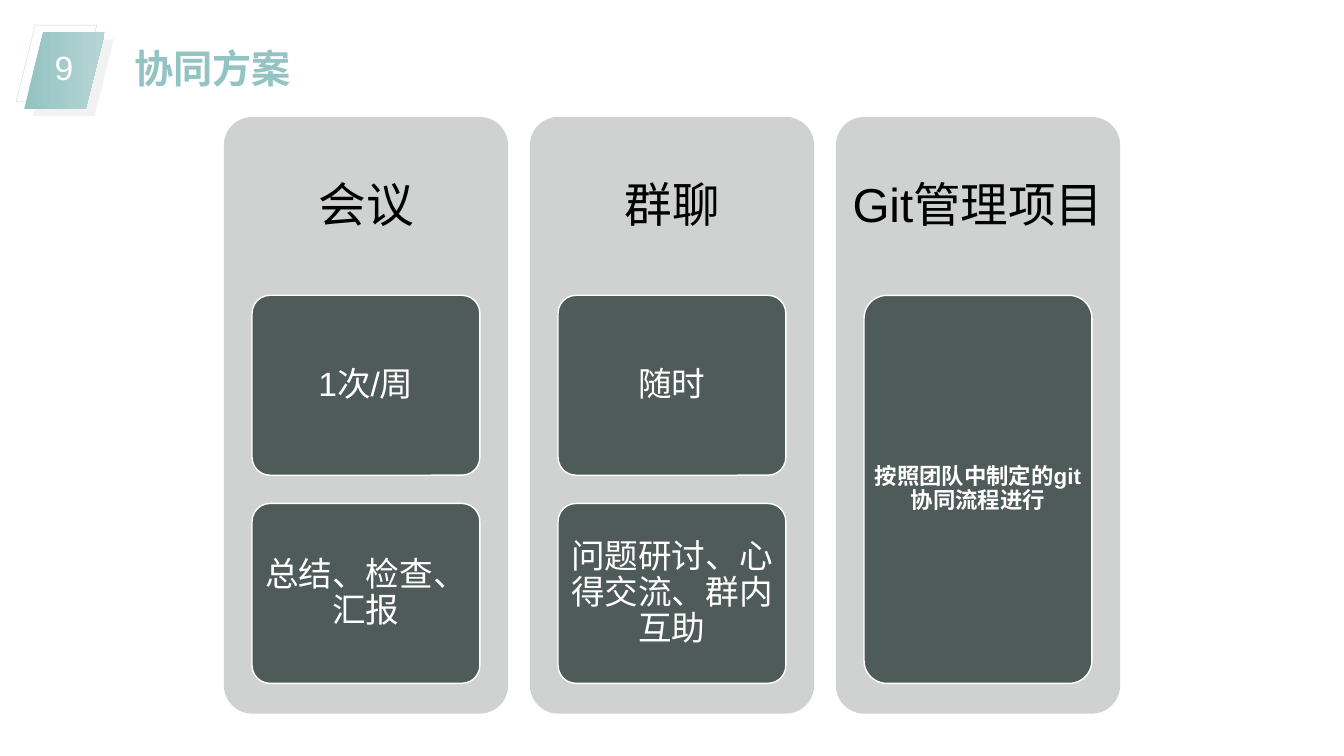
from pptx import Presentation
from pptx.dml.color import RGBColor
from pptx.enum.shapes import MSO_SHAPE
from pptx.enum.text import MSO_ANCHOR, PP_ALIGN
from pptx.util import Inches, Pt

TITLE = "协同方案"
PAGE_NUMBER = "9"
COLUMNS = [
    {"heading": "会议", "cards": ["1次/周", "总结、检查、汇报"], "size": 24, "bold": False, "inset": (0.07, 0.05)},
    {"heading": "群聊", "cards": ["随时", "问题研讨、心得交流、群内互助"], "size": 24, "bold": False, "inset": (0.07, 0.05)},
    {"heading": "Git管理项目", "cards": ["按照团队中制定的git协同流程进行"], "size": 16, "bold": True, "inset": (0.04, 0.03)},
]
COLORS = {
    "teal": "93C3C2",
    "pale_teal": "B7D5D5",
    "outline": "BAD7D7",
    "badge_shade": "F2F2F2",
    "panel": "D0D2D1",
    "card": "4F5B58",
    "white": "FFFFFF",
    "black": "000000",
}
FONT = "Arial"
BADGE_SIZE = (0.8, 0.76)
PANEL_LEFT, PANEL_TOP, PANEL_WIDTH, PANEL_HEIGHT = 2.22, 1.16, 2.82, 5.92
PANEL_STEP = 3.035
HEADING_HEIGHT = 1.78
CARD_WIDTH, CARD_TOP, CARDS_HEIGHT, CARD_GAP = 2.26, 2.93, 3.85, 0.28


def color(name):
    return RGBColor.from_string(COLORS[name])


def add_block(slide, preset, left, top, width, height, fill=None, line=None, line_width=1):
    block = slide.shapes.add_shape(preset, Inches(left), Inches(top), Inches(width), Inches(height))
    block.shadow.inherit = False
    if fill:
        block.fill.solid()
        block.fill.fore_color.rgb = color(fill)
    else:
        block.fill.background()
    if line:
        block.line.color.rgb = color(line)
        block.line.width = Pt(line_width)
    else:
        block.line.fill.background()
    return block


def write(shape, text, size, ink, bold=False, spacing=0.9, inset=(0.1, 0.05),
          align=PP_ALIGN.CENTER, anchor=MSO_ANCHOR.MIDDLE, wrap=True):
    frame = shape.text_frame
    frame.text = text
    frame.word_wrap = wrap
    frame.vertical_anchor = anchor
    frame.margin_left = frame.margin_right = Inches(inset[0])
    frame.margin_top = frame.margin_bottom = Inches(inset[1])
    paragraph = frame.paragraphs[0]
    paragraph.alignment = align
    paragraph.line_spacing = spacing
    font = paragraph.runs[0].font
    font.name = FONT
    font.size = Pt(size)
    font.bold = bold
    font.color.rgb = color(ink)


def add_badge(slide):
    add_block(slide, MSO_SHAPE.PARALLELOGRAM, 0.16, 0.25, *BADGE_SIZE, line="outline", line_width=0.25)
    add_block(slide, MSO_SHAPE.PARALLELOGRAM, 0.33, 0.39, *BADGE_SIZE, fill="badge_shade")
    badge = add_block(slide, MSO_SHAPE.PARALLELOGRAM, 0.24, 0.32, *BADGE_SIZE)
    badge.fill.gradient()
    badge.fill.gradient_angle = 0
    for stop, name in zip(badge.fill.gradient_stops, ("teal", "pale_teal")):
        stop.color.rgb = color(name)
    number = slide.shapes.add_textbox(Inches(0.33), Inches(0.36), Inches(0.61), Inches(0.54))
    write(number, PAGE_NUMBER, 24, "white", spacing=1.2, wrap=False)


def add_column(slide, index, column):
    left = PANEL_LEFT + index * PANEL_STEP
    panel = add_block(slide, MSO_SHAPE.ROUNDED_RECTANGLE, left, PANEL_TOP, PANEL_WIDTH, PANEL_HEIGHT, "panel")
    panel.adjustments[0] = 0.1
    heading = slide.shapes.add_textbox(
        Inches(left), Inches(PANEL_TOP), Inches(PANEL_WIDTH), Inches(HEADING_HEIGHT))
    write(heading, column["heading"], 34, "black", inset=(0.14, 0.14))

    count = len(column["cards"])
    card_height = (CARDS_HEIGHT - CARD_GAP * (count - 1)) / count
    card_left = left + (PANEL_WIDTH - CARD_WIDTH) / 2
    for row, text in enumerate(column["cards"]):
        card_top = CARD_TOP + row * (card_height + CARD_GAP)
        card = add_block(slide, MSO_SHAPE.ROUNDED_RECTANGLE, card_left, card_top,
                         CARD_WIDTH, card_height, "card", "white")
        card.adjustments[0] = 0.1
        write(card, text, column["size"], "white", bold=column["bold"], inset=column["inset"])


def main():
    deck = Presentation()
    deck.slide_width, deck.slide_height = Inches(13.33), Inches(7.5)
    slide = deck.slides.add_slide(deck.slide_layouts[5])
    title = slide.shapes.title
    title.left, title.top, title.width, title.height = Inches(1.23), Inches(0.39), Inches(2.6), Inches(0.57)
    write(title, TITLE, 28, "teal", bold=True, spacing=1.0, align=PP_ALIGN.JUSTIFY, anchor=MSO_ANCHOR.TOP)
    add_badge(slide)
    for index, column in enumerate(COLUMNS):
        add_column(slide, index, column)
    deck.save("out.pptx")


if __name__ == "__main__":
    main()
